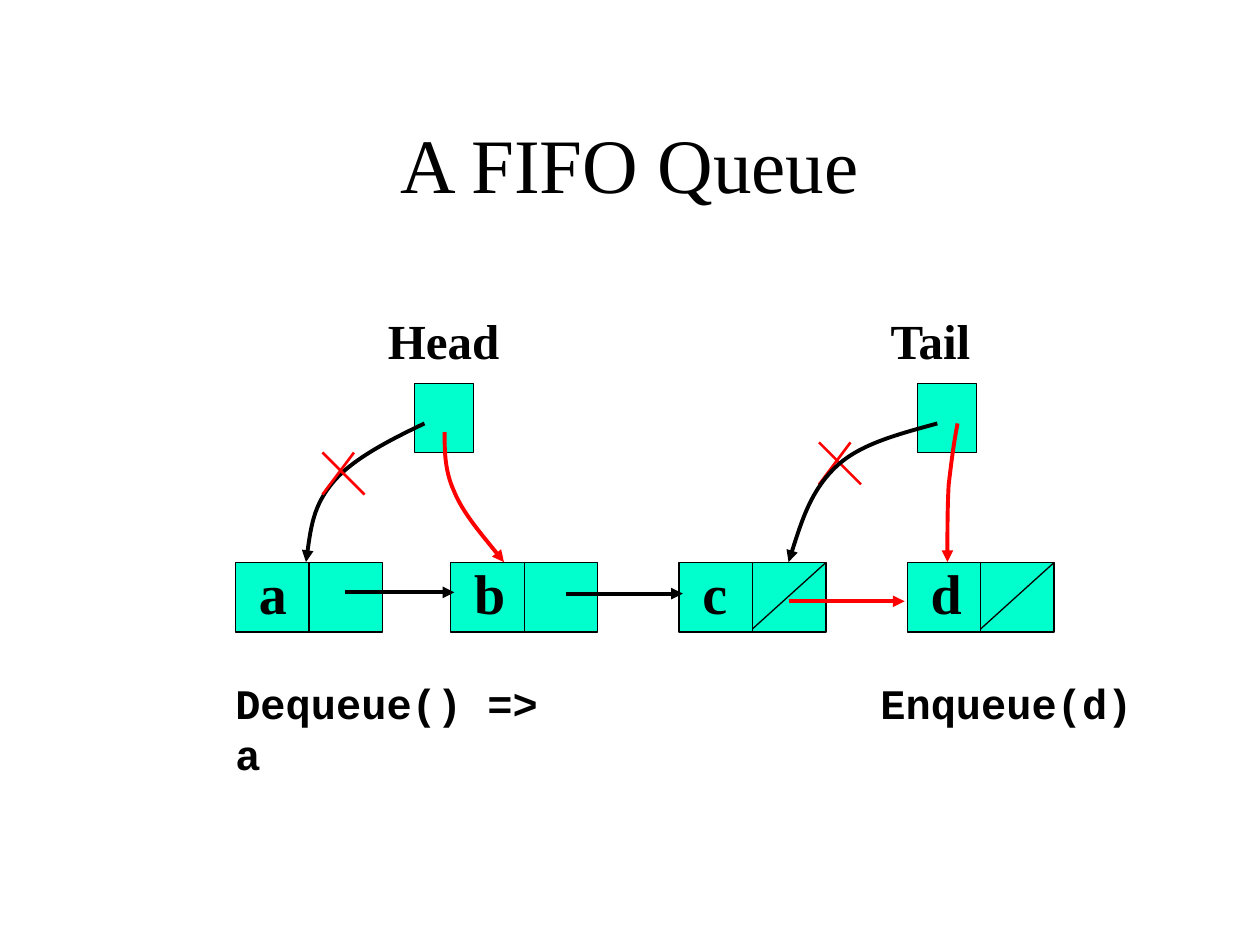
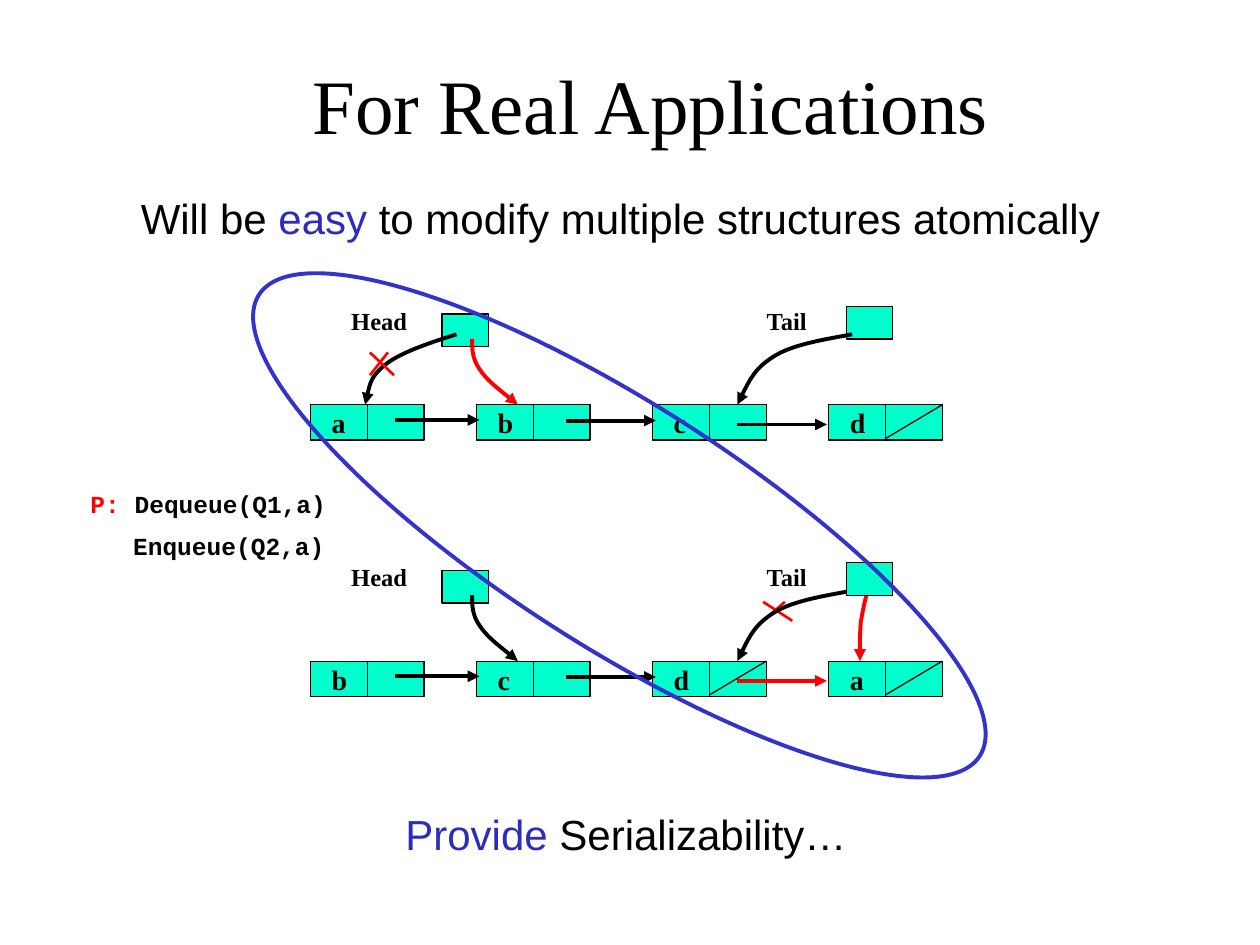
from dataclasses import dataclass

from lxml.etree import SubElement
from pptx import Presentation
from pptx.dml.color import RGBColor
from pptx.enum.shapes import MSO_CONNECTOR, MSO_SHAPE
from pptx.enum.text import MSO_ANCHOR, PP_ALIGN
from pptx.oxml.ns import qn
from pptx.util import Pt

BLACK = RGBColor(0x00, 0x00, 0x00)
RED = RGBColor(0xFF, 0x00, 0x00)
MINT = RGBColor(0x00, 0xFF, 0xCC)
ACCENT = RGBColor(0x2D, 0x2D, 0xB9)
OVAL_BLUE = RGBColor(0x33, 0x33, 0xCC)

THIN, CROSS, THICK = 0.75, 1.5, 2.25
TITLE = dict(name="Times New Roman", size=Pt(44))
BODY = dict(name="Arial", size=Pt(24))
SERIF = dict(name="Times New Roman", bold=True)
CODE = dict(name="Courier New", bold=True)

GRID_W, GRID_H = 468, 142
NODE_X = (0, 123, 253.4, 383.8)
NODE_Y, NODE_W, NODE_H = 102.4, 84, 39.8
NEXT_ARROWS = ((62.5, 125, 119.5), (189, 255.6, 120.2), (316, 382.3, 124.6))
HEAD_TO_FIRST = ((108, 23), (87, 33), (66, 44), (55.4, 57),
                 (44.6, 70), (42.5, 86), (40.3, 102.2))
HEAD_TO_SECOND = ((119.5, 28), (119.5, 39), (119.5, 50), (125, 62),
                  (130, 74), (142, 88), (153.4, 102.2))
TAIL_TO_THIRD = ((401, 23), (379.4, 29), (357, 34.6), (343.4, 47.5),
                 (329, 61), (322.6, 81.4), (316, 102.2))
TAIL_TO_FOURTH = ((412.6, 23), (410.4, 34), (409, 45.4), (407.5, 58.3),
                  (406.8, 72), (406.8, 87), (406.8, 102.2))


@dataclass
class Look:
    """Sizes and offsets of the loose parts of a queue drawing."""
    cell: tuple
    head_cell: tuple
    tail_cell: tuple
    head_label: tuple
    tail_label: tuple
    head_cross: tuple
    tail_cross: tuple
    label_size: int
    node_size: int


LARGE = Look((34, 39.8), (102.2, 0), (389.5, 0), (80, -45.4), (367.2, -45.4),
             (49.7, 39.6, 24, 24), (333.4, 33.8, 24, 24), 28, 32)
SMALL = Look((26.6, 18.7), (75, 0), (306, -4.4), (16, -8.2), (253.4, -8.2),
             (33.8, 22, 13.7, 13), (258.5, 18, 16.6, 10.8), 14, 16)


def add_text(s, box, runs, fmt, wrap=False, align=PP_ALIGN.LEFT, anchor=MSO_ANCHOR.TOP):
    """Add a text box holding one paragraph of (text, colour) runs."""
    tf = s.shapes.add_textbox(*map(Pt, box)).text_frame
    tf.word_wrap, tf.vertical_anchor = wrap, anchor
    p = tf.paragraphs[0]
    p.alignment = align
    for text, color in runs:
        r = p.add_run()
        r.text = text
        for key, value in fmt.items():
            setattr(r.font, key, value)
        r.font.color.rgb = color


def set_line(sp, color, width, arrow=False):
    """Give a shape or connector its line and optional arrowhead."""
    sp.line.color.rgb = color
    sp.line.width = Pt(width)
    if arrow:
        SubElement(sp.element.spPr.find(qn("a:ln")), qn("a:tailEnd"), type="triangle")


def add_shape(s, kind, box, fill, color=BLACK, width=THIN):
    """Add a flat preset shape, unfilled when fill is None."""
    sp = s.shapes.add_shape(kind, *map(Pt, box))
    sp.shadow.inherit = False
    if fill is None:
        sp.fill.background()
    else:
        sp.fill.solid()
        sp.fill.fore_color.rgb = fill
    set_line(sp, color, width)
    return sp


def add_line(s, start, end, color=BLACK, width=THIN, arrow=False):
    """Add a straight line without shadow."""
    cx = s.shapes.add_connector(MSO_CONNECTOR.STRAIGHT, *map(Pt, (*start, *end)))
    set_line(cx, color, width, arrow)
    SubElement(cx.element.spPr, qn("a:effectLst"))


def add_curve(s, points, color):
    """Add a curved arrow through cubic control points."""
    start, *rest = [(Pt(x), Pt(y)) for x, y in points]
    fb = s.shapes.build_freeform(*start)
    fb.add_line_segments(rest, close=False)
    sp = fb.convert_to_shape()
    sp.shadow.inherit = False
    sp.fill.background()
    set_line(sp, color, THICK, arrow=True)
    path = next(sp.element.iter(qn("a:path")))
    segments = path.findall(qn("a:lnTo"))
    for i in range(0, len(segments), 3):
        bezier = SubElement(path, qn("a:cubicBezTo"))
        for segment in segments[i:i + 3]:
            bezier.append(segment[0])
            path.remove(segment)


def add_cross(s, box):
    """Add the red strokes that strike out a pointer."""
    x, y, w, h = box
    add_line(s, (x + 0.75 * w, y), (x, y + h), RED, CROSS)
    add_line(s, (x, y), (x + w, y + h), RED, CROSS)


def add_title(s, box, text):
    """Add the centred slide title."""
    add_text(s, box, [(text, BLACK)], TITLE, True, PP_ALIGN.CENTER, MSO_ANCHOR.MIDDLE)


def add_queue(s, box, look, names, dequeued, enqueued, tail_in_front=False):
    """Draw a linked queue in its box, marking pointers that change."""
    left, top, width, height = box
    kx, ky = width / GRID_W, height / GRID_H

    def at(x, y):
        """Map a grid point into the box."""
        return left + x * kx, top + y * ky

    def offset(x, y, *size):
        """Shift loose parts to the corner of the box."""
        return left + x, top + y, *size

    def add_cell(corner):
        """Add a pointer cell."""
        add_shape(s, MSO_SHAPE.RECTANGLE, offset(*corner, *look.cell), MINT)

    for i, (x, name) in enumerate(zip(NODE_X, names)):
        middle, right, bottom = x + NODE_W / 2, x + NODE_W, NODE_Y + NODE_H
        add_shape(s, MSO_SHAPE.RECTANGLE,
                  (*at(x, NODE_Y), NODE_W * kx, NODE_H * ky), MINT)
        add_line(s, at(middle, NODE_Y), at(middle, bottom))
        add_text(s, (*at(x + 6.3, NODE_Y - 5.8), 30 * kx, 45 * ky), [(name, BLACK)],
                 dict(SERIF, size=Pt(look.node_size)), True)
        if i == 3 or i == 2 and enqueued:
            add_line(s, at(middle, bottom - 1.8), at(right, NODE_Y))

    for i, (x1, x2, y) in enumerate(NEXT_ARROWS):
        color = RED if i == 2 and enqueued else BLACK
        add_line(s, at(x1, y), at(x2, y), color, THICK, arrow=True)

    for text, corner, ems in (("Head", look.head_label, 2.29),
                              ("Tail", look.tail_label, 1.72)):
        size = look.label_size
        add_text(s, offset(*corner, 14.4 + ems * size, 7.2 + 1.2 * size),
                 [(text, BLACK)], dict(SERIF, size=Pt(size)))

    add_cell(look.head_cell)
    if not tail_in_front:
        add_cell(look.tail_cell)
    curves = [(HEAD_TO_SECOND, RED if dequeued else BLACK)]
    if dequeued:
        curves.append((HEAD_TO_FIRST, BLACK))
    if enqueued:
        add_cross(s, offset(*look.tail_cross))
        curves.append((TAIL_TO_FOURTH, RED))
    curves.append((TAIL_TO_THIRD, BLACK))
    for points, color in curves:
        add_curve(s, [at(*point) for point in points], color)
    if dequeued:
        add_cross(s, offset(*look.head_cross))
    if tail_in_front:
        add_cell(look.tail_cell)


def fifo_slide(s):
    """Build the slide with a single large queue."""
    add_title(s, (54, 48, 612, 90), "A FIFO Queue")
    add_queue(s, (134.6, 219, GRID_W, GRID_H), LARGE, "abcd", True, True)
    fmt = dict(CODE, size=Pt(24))
    add_text(s, (496, 383.8, 158.4, 36), [("Enqueue(d)", BLACK)], fmt)
    add_text(s, (127.4, 383.8, 210, 64), [("Dequeue() => a", BLACK)], fmt, True)


def applications_slide(s):
    """Build the slide with two small queues changed together."""
    add_title(s, (60, 16.6, 623.5, 85), "For Real Applications")
    add_text(s, (73.4, 106.6, 568, 36.7),
             [("Will be ", BLACK), ("easy", ACCENT),
              (" to modify multiple structures atomically", BLACK)], BODY)
    add_text(s, (224.6, 458.6, 269.3, 36.7),
             [("Provide ", ACCENT), ("Serializability…", BLACK)], BODY)
    add_queue(s, (177.6, 179.4, 361, 72), SMALL, "abcd", True, False)
    add_queue(s, (177.6, 325.9, 361, 72), SMALL, "bcda", False, True, True)
    fmt = dict(CODE, size=Pt(14))
    add_text(s, (44.6, 275.8, 149.8, 24.5), [("P:", RED), (" Dequeue(Q1,a)", BLACK)], fmt)
    add_text(s, (69, 299.7, 124.6, 24.5), [("Enqueue(Q2,a)", BLACK)], fmt)
    oval = add_shape(s, MSO_SHAPE.OVAL, (109.4, 231, 489, 138.4), None, OVAL_BLUE, THICK)
    oval.rotation = 32.6


def main():
    """Build and save the presentation."""
    prs = Presentation()
    prs.slide_width, prs.slide_height = Pt(720), Pt(540)
    for build in (fifo_slide, applications_slide):
        build(prs.slides.add_slide(prs.slide_layouts[6]))
    prs.save("out.pptx")


if __name__ == "__main__":
    main()
